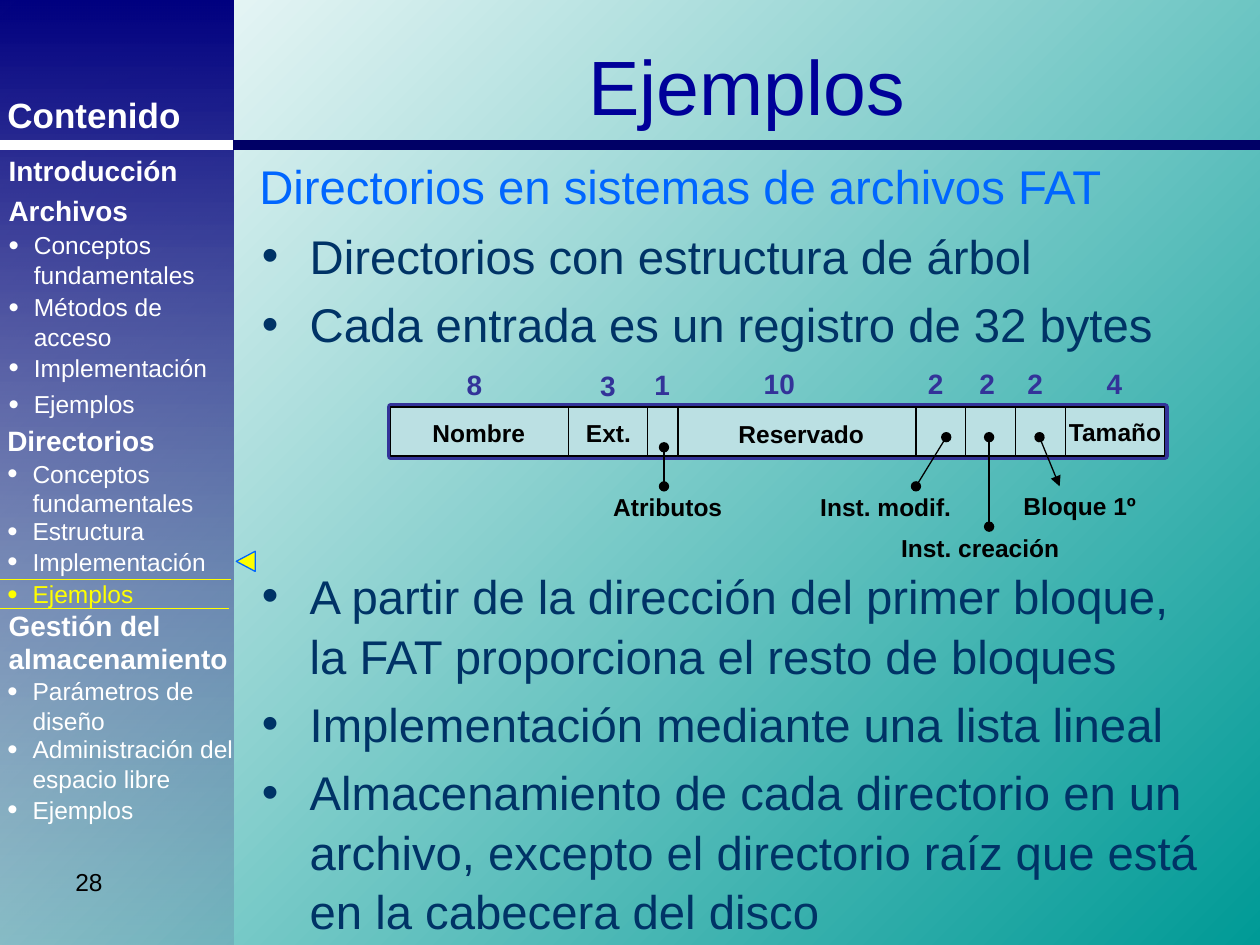
from lxml import etree
from pptx import Presentation
from pptx.dml.color import RGBColor
from pptx.enum.shapes import MSO_CONNECTOR, MSO_SHAPE
from pptx.enum.text import MSO_ANCHOR, MSO_AUTO_SIZE, PP_ALIGN
from pptx.oxml.ns import qn
from pptx.util import Inches, Pt

STRAIGHT = MSO_CONNECTOR.STRAIGHT
RECTANGLE = MSO_SHAPE.RECTANGLE
TRIANGLE = MSO_SHAPE.ISOSCELES_TRIANGLE
LEFT, CENTER = PP_ALIGN.LEFT, PP_ALIGN.CENTER
MIDDLE = MSO_ANCHOR.MIDDLE
NO_FIT = MSO_AUTO_SIZE.NONE
color = RGBColor.from_string

prs = Presentation()
prs.slide_width, prs.slide_height = Inches(10), Inches(7.5)
CELL = prs.slide_width / 100
slide = prs.slides.add_slide(prs.slide_layouts[5])
shapes = slide.shapes


def write(cells, lines, size, hex_color, bold=False, align=LEFT,
          hang=0, bullet_size=0, spacing=1.0):
    box = shapes.add_textbox(*(round(n * CELL) for n in cells))
    frame = box.text_frame
    frame.word_wrap = True
    frame.text = "\n".join(lines)
    for index, paragraph in enumerate(frame.paragraphs):
        paragraph.alignment = align
        paragraph.line_spacing = spacing
        paragraph.space_before = Pt(5 if index else 0)
        font = paragraph.font
        font.name, font.size, font.bold = "Arial", Pt(size), bold
        font.color.rgb = color(hex_color)
        if hang:
            props = paragraph._p.get_or_add_pPr()
            props.set("marL", str(round(hang * CELL)))
            props.set("indent", str(-round(hang * CELL)))
            etree.SubElement(props, qn("a:buSzPct")).set("val", str(bullet_size * 1000))
            etree.SubElement(props, qn("a:buFont")).set("typeface", "Arial")
            etree.SubElement(props, qn("a:buChar")).set("char", "•")
            props.append(props.find(qn("a:defRPr")))


def rule(cells, hex_color, width, head=None, tail=None):
    line = shapes.add_connector(STRAIGHT, *(round(n * CELL) for n in cells))
    line.line.color.rgb = color(hex_color)
    line.line.width = Pt(width)
    stroke = line.line._get_or_add_ln()
    for tag, kind in (("a:headEnd", head), ("a:tailEnd", tail)):
        if kind:
            etree.SubElement(stroke, qn(tag)).set("type", kind)
    etree.SubElement(line._element.spPr, qn("a:effectLst"))


sidebar = shapes.add_shape(RECTANGLE, 0, 0, round(18.5 * CELL), prs.slide_height)
sidebar.shadow.inherit = False
sidebar.line.fill.background()
for fill, start, end, angle in (
    (slide.background.fill, "FFFFFF", "009A96", 315),
    (sidebar.fill, "000080", "545490", 270),
):
    fill.gradient()
    fill.gradient_angle = angle
    for stop, hex_color in zip(fill.gradient_stops, (start, end)):
        stop.color.rgb = color(hex_color)
last_stop = list(sidebar._element.spPr.iter(qn("a:srgbClr")))[-1]
etree.SubElement(last_stop, qn("a:alpha")).set("val", "19000")

rule((18.5, 11.5, 100, 11.5), "000066", 6)
rule((0, 11.5, 18.5, 11.5), "FFFFFF", 6)

title = shapes.title
title.left, title.top, title.width, title.height = (
    round(n * CELL) for n in (18.5, 0.5, 81.5, 12.5))
title.text_frame.text = "Ejemplos"
title.text_frame.vertical_anchor = MIDDLE
title.text_frame.auto_size = NO_FIT
heading = title.text_frame.paragraphs[0]
heading.alignment = CENTER
heading.font.name, heading.font.size = "Arial", Pt(44)
heading.font.color.rgb = color("000099")

write((-0.4, 6.9, 16.5, 4.3), ["Contenido"], 20, "FFFFFF", bold=True)
write((5, 68.3, 23.3, 5.2), ["28"], 14, "000000")
write((19.6, 11.8, 80.4, 6), ["Directorios en sistemas de archivos FAT"],
      27, "0066FF", spacing=1.05)

points = [
    (17.3, 13.1, ["Directorios con estructura de árbol",
                  "Cada entrada es un registro de 32 bytes"]),
    (44.3, 30.7, ["A partir de la dirección del primer bloque, la FAT proporciona el resto de bloques",
                  "Implementación mediante una lista lineal",
                  "Almacenamiento de cada directorio en un archivo, excepto el directorio raíz "
                  "que está en la cabecera del disco"]),
]
for top, height, lines in points:
    write((19.8, top, 77.7, height), lines, 27, "003366",
          hang=3.8, bullet_size=100, spacing=1.05)

RECORD_LEFT, RECORD_TOP, RECORD_HEIGHT = 31, 32.3, 3.9
fields = [
    (14.15, "8", 37.65, 28.7, "Nombre", 38, 32.7),
    (6.25, "3", 48.25, 28.8, "Ext.", 48.3, 32.7),
    (2.4, "1", 52.55, 28.7, "Atributos", 53, 38.6),
    (18.9, "10", 61.85, 28.6, "Reservado", 63.6, 32.8),
    (3.95, "2", 74.25, 28.6, "Inst. modif.", 70.3, 38.6),
    (3.95, "2", 78.35, 28.6, "Inst. creación", 77.8, 41.8),
    (3.95, "2", 82.15, 28.6, "Bloque 1º", 85.7, 38.5),
    (7.9, "4", 88.45, 28.6, "Tamaño", 88.5, 32.6),
]
outlines = [(RECORD_LEFT, sum(field[0] for field in fields), "333399", 4.5)]
field_left = RECORD_LEFT
for width, *_ in fields:
    outlines.append((field_left, width, "000000", 0.75))
    field_left += width
for left, width, hex_color, weight in outlines:
    cell = shapes.add_shape(RECTANGLE, *(
        round(n * CELL) for n in (left, RECORD_TOP, width, RECORD_HEIGHT)))
    cell.shadow.inherit = False
    cell.fill.solid()
    cell.fill.fore_color.rgb = color("BBE0E3")
    cell.line.color.rgb = color(hex_color)
    cell.line.width = Pt(weight)

for _, size, size_center, size_top, label, label_center, label_top in fields:
    write((size_center - 2.35, size_top, 4.7, 3.7), [size], 16, "333399", True, CENTER)
    write((label_center - 7.5, label_top, 15, 3.3), [label], 14, "000000", True, CENTER)

for cells, tail in (
    ((52.7, 35.5, 52.7, 38.6), "oval"),
    ((75.1, 34.7, 72.7, 38.6), "oval"),
    ((78.5, 34.7, 78.5, 41.8), "oval"),
    ((82.5, 34.7, 84.1, 38.6), "triangle"),
):
    rule(cells, "000000", 0.75, "oval", tail)

rule((-0.3, 48.3, 18.2, 48.3), "FFFF00", 0.75)
rule((-0.2, 46, 18.3, 46), "FFFF00", 0.75)

sections = [
    (-0.3, 11.7, 20.5, 3.7, "Introducción"),
    (-0.3, 14.9, 20.5, 3.7, "Archivos"),
    (-0.4, 33.1, 20.5, 3.7, "Directorios"),
    (-0.3, 47.8, 22.8, 6.4, "Gestión del almacenamiento"),
]
for *cells, name in sections:
    write(cells, [name], 16, "FFFFFF", bold=True)

topics = [
    (-0.3, 17.8, 5.7, "Conceptos fundamentales", "FFFFFF"),
    (-0.3, 22.7, 5.7, "Métodos de acceso", "FFFFFF"),
    (-0.3, 27.5, 3.3, "Implementación", "FFFFFF"),
    (-0.3, 30.4, 3.3, "Ejemplos", "FFFFFF"),
    (-0.4, 35.9, 5.7, "Conceptos fundamentales", "FFFFFF"),
    (-0.4, 40.5, 3.3, "Estructura", "FFFFFF"),
    (-0.4, 42.9, 3.3, "Implementación", "FFFFFF"),
    (-0.4, 45.5, 3.3, "Ejemplos", "FFFF00"),
    (-0.4, 53.2, 5.7, "Parámetros de diseño", "FFFFFF"),
    (-0.4, 57.8, 5.7, "Administración del espacio libre", "FFFFFF"),
    (-0.4, 62.6, 3.3, "Ejemplos", "FFFFFF"),
]
for left, top, height, name, hex_color in topics:
    write((left, top, 20.5, height), [name], 14, hex_color, hang=2, bullet_size=120)

marker = shapes.add_shape(TRIANGLE, *(round(n * CELL) for n in (18.7, 43.8, 1.6, 1.5)))
marker.rotation = 270
marker.shadow.inherit = False
marker.fill.solid()
marker.fill.fore_color.rgb = color("FFFF00")
marker.line.color.rgb = color("0066FF")
marker.line.width = Pt(0.75)

prs.save("out.pptx")
